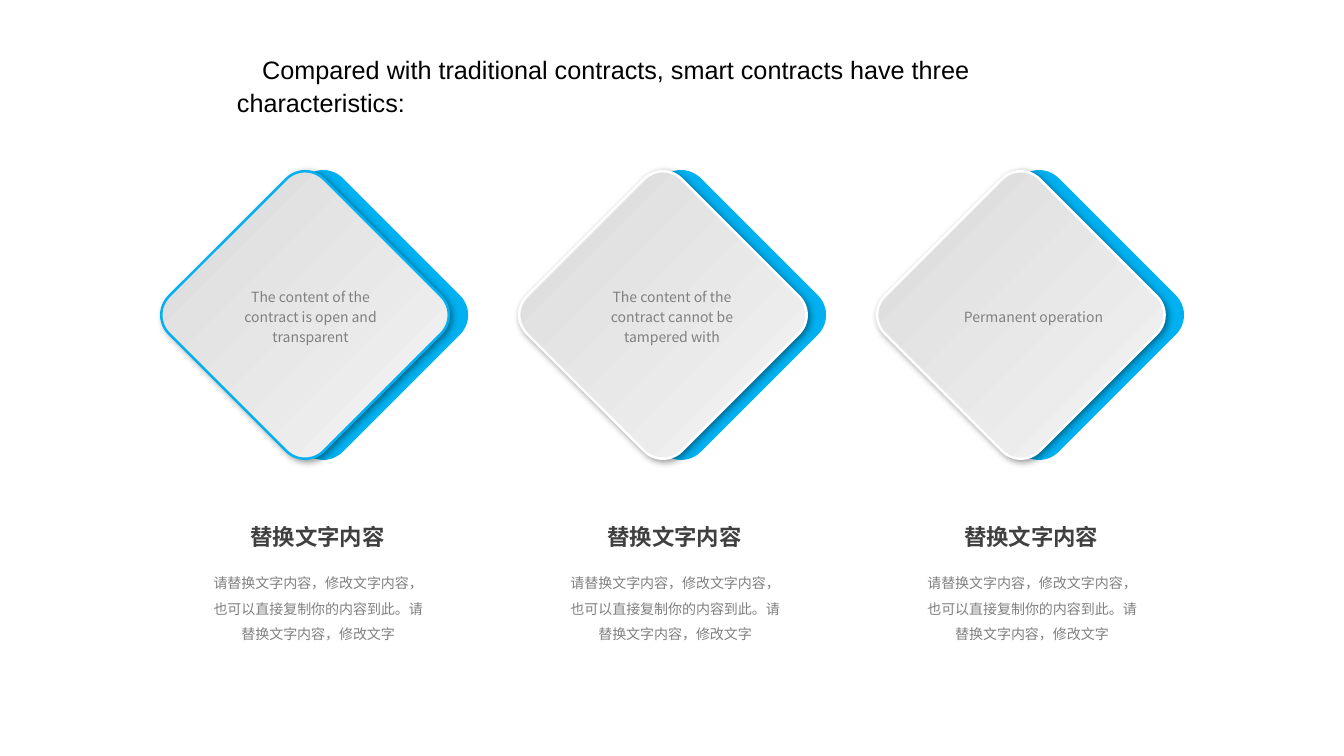
import pptx
import pptx.dml.color
import pptx.enum.shapes
import pptx.enum.text
import pptx.oxml
import pptx.oxml.ns
import pptx.util
from dataclasses import dataclass

Inches = pptx.util.Inches
Pt = pptx.util.Pt


@dataclass
class Theme:
    blue: str = "00B0F0"
    white: str = "FFFFFF"
    black: str = "000000"
    heading: str = "404040"
    grey: str = "808080"
    face_dark: str = "D9D9D9"
    face_light: str = "F5F5F5"
    title_font: str = "Arial"
    body_font: str = "Noto Sans CJK SC"
    title_size: int = 18
    heading_size: int = 16
    body_size: int = 10

    def rgb(self, name):
        return pptx.dml.color.RGBColor.from_string(getattr(self, name))


theme = Theme()
namespace = pptx.oxml.ns.nsdecls("a")
face_shadow = (
    f"<a:effectLst {namespace}>"
    '<a:outerShdw blurRad="63500" dist="25400" dir="2700000" algn="tl" rotWithShape="0">'
    f'<a:srgbClr val="{theme.black}"><a:alpha val="40000"/></a:srgbClr>'
    "</a:outerShdw></a:effectLst>"
)


def add_label(text, left, top, width, height, size, color,
              spacing=1.0, bold=False, margins=(0, 0)):
    box = slide.shapes.add_textbox(Inches(left), Inches(top), Inches(width), Inches(height))
    frame = box.text_frame
    frame.word_wrap = True
    frame.auto_size = pptx.enum.text.MSO_AUTO_SIZE.SHAPE_TO_FIT_TEXT
    frame.margin_left = frame.margin_right = Inches(margins[0])
    frame.margin_top = frame.margin_bottom = Inches(margins[1])
    paragraph = frame.paragraphs[0]
    paragraph.alignment = pptx.enum.text.PP_ALIGN.CENTER
    paragraph.line_spacing = spacing
    run = paragraph.add_run()
    run.text = text
    run.font.size = Pt(size)
    run.font.bold = bold
    run.font.color.rgb = theme.rgb(color)
    run.font.name = theme.body_font
    # East Asian typeface for the Chinese wording
    run._r.get_or_add_rPr().append(
        pptx.oxml.parse_xml(f'<a:ea {namespace} typeface="{theme.body_font}"/>'))


presentation = pptx.Presentation()
presentation.slide_width = Inches(13.33)
presentation.slide_height = Inches(7.5)
slide = presentation.slides.add_slide(presentation.slide_layouts[5])

# Title
title = slide.shapes.title
title.left, title.top = Inches(2.25), Inches(0.47)
title.width, title.height = Inches(8.84), Inches(0.89)
frame = title.text_frame
frame.word_wrap = True
frame.auto_size = pptx.enum.text.MSO_AUTO_SIZE.NONE
frame.vertical_anchor = pptx.enum.text.MSO_ANCHOR.TOP
paragraph = frame.paragraphs[0]
paragraph.alignment = pptx.enum.text.PP_ALIGN.LEFT
paragraph.line_spacing = 1.07
paragraph._p.get_or_add_pPr().set("indent", str(Inches(0.25)))
run = paragraph.add_run()
run.text = "Compared with traditional contracts, smart contracts have three characteristics:"
run.font.name = theme.title_font
run.font.size = Pt(theme.title_size)
run.font.color.rgb = theme.rgb("black")

# Diamonds: a blue back and a grey face in each group
for column, outline in enumerate(["blue", "white", "white"]):
    group = slide.shapes.add_group_shape()
    face_left = 1.94 + 3.55 * column
    for left, line_color in [(face_left + 0.18, "blue"), (face_left, outline)]:
        shape = group.shapes.add_shape(
            pptx.enum.shapes.MSO_SHAPE.ROUNDED_RECTANGLE,
            Inches(left), Inches(2.04), Inches(2.17), Inches(2.17))
        shape.rotation = 45
        shape.adjustments[0] = 0.121
        shape.line.color.rgb = theme.rgb(line_color)
        shape.line.width = Pt(1.75)
        if left > face_left:
            shape.fill.solid()
            shape.fill.fore_color.rgb = theme.rgb("blue")
            shape.shadow.inherit = False
        else:
            shape.fill.gradient()
            shape.fill.gradient_angle = 0
            for stop, color in zip(shape.fill.gradient_stops, ["face_dark", "face_light"]):
                stop.color.rgb = theme.rgb(color)
            shape._element.spPr.append(pptx.oxml.parse_xml(face_shadow))

# Wording on the diamonds
features = [
    ("The content of the contract is open and transparent", 2.78, 0.71),
    ("The content of the contract cannot be tampered with", 2.78, 0.71),
    ("Permanent operation", 2.98, 0.3),
]
for column, (text, top, height) in enumerate(features):
    add_label(text, 2.25 + 3.585 * column, top, 1.66, height,
              theme.body_size, "grey", spacing=1.2, margins=(0.1, 0.05))

# Captions below
for column in range(3):
    left = 2.05 + 3.54 * column
    add_label("请替换文字内容，修改文字内容，也可以直接复制你的内容到此。请替换文字内容，修改文字",
              left, 5.62, 2.21, 0.73, theme.body_size, "grey", spacing=1.5)
    add_label("替换文字内容", left + 0.17, 5.19, 1.86, 0.27,
              theme.heading_size, "heading", bold=True)

presentation.save("out.pptx")
